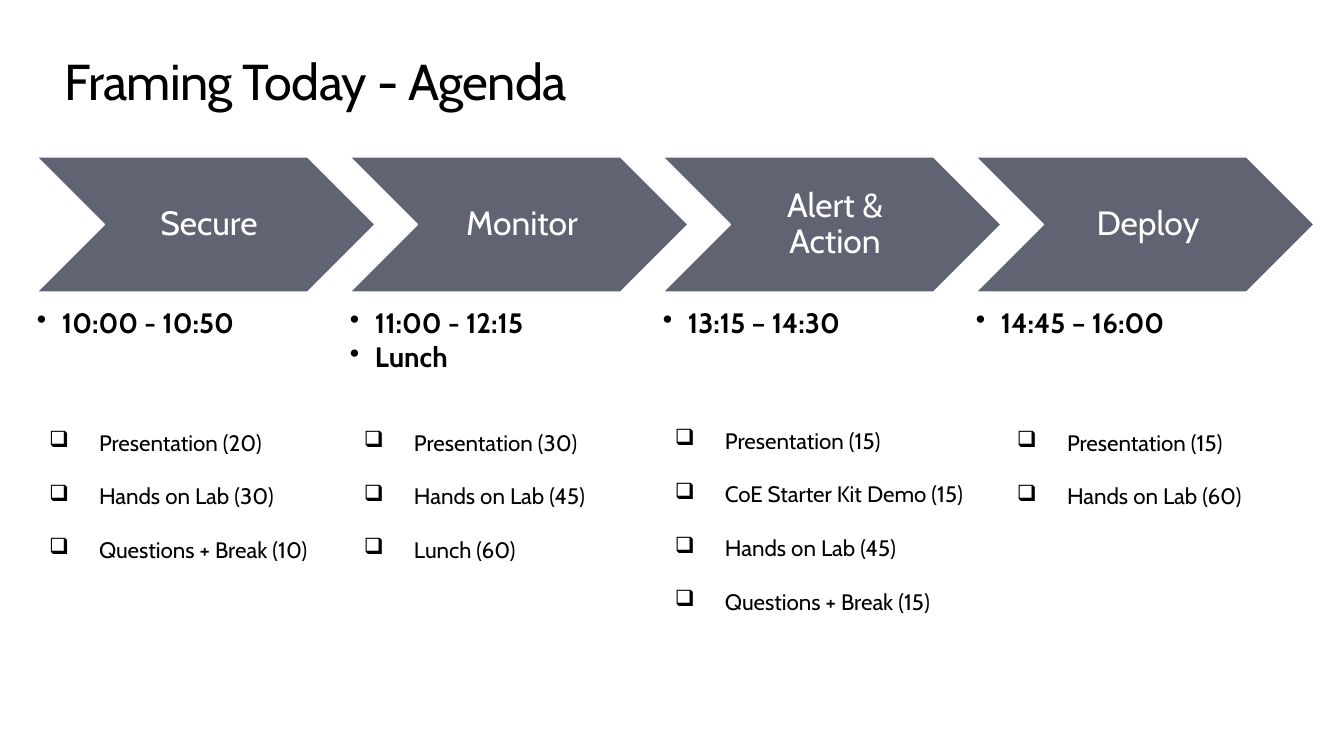
"""Build the agenda slide: four session chevrons with times and checklists."""
from lxml import etree
from pptx import Presentation, util as u
from pptx.dml.color import RGBColor
from pptx.enum import shapes, text
from pptx.oxml.ns import qn

TITLE = "Framing Today - Agenda"
SESSIONS = [
    {"name": "Secure", "times": ["10:00 - 10:50"], "list_at": (49, 402, 291),
     "tasks": ["Presentation (20)", "Hands on Lab (30)", "Questions + Break (10)"]},
    {"name": "Monitor", "times": ["11:00 - 12:15", "Lunch"], "list_at": (364, 402, 303),
     "tasks": ["Presentation (30)", "Hands on Lab (45)", "Lunch (60)"]},
    {"name": "Alert & Action", "times": ["13:15 – 14:30"], "list_at": (675, 400, 303),
     "tasks": ["Presentation (15)", "CoE Starter Kit Demo (15)", "Hands on Lab (45)",
               "Questions + Break (15)"]},
    {"name": "Deploy", "times": ["14:45 – 16:00"], "list_at": (1017, 402, 291),
     "tasks": ["Presentation (15)", "Hands on Lab (60)"]},
]

FONT = "Cabin"
BLACK = RGBColor(0x00, 0x00, 0x00)
WHITE = RGBColor(0xFF, 0xFF, 0xFF)
SLATE = RGBColor(0x60, 0x63, 0x72)

SLIDE_WIDTH, SLIDE_HEIGHT = 1344, 756
FIRST_LEFT, PITCH = 37, 313
CHEVRON_TOP, CHEVRON_WIDTH, CHEVRON_HEIGHT = 157, 338, 135
TIMES_TOP, TIMES_WIDTH, TIMES_HEIGHT = 309, 270, 82
TIMES_INDENT, TASK_INDENT = 25, 50
TASK_HEIGHT = 54


def px(length):
    return u.Emu(round(length * 914400 / 100.8))


def set_margins(frame, left=0, other=0):
    frame.margin_left = px(left)
    frame.margin_top = frame.margin_right = frame.margin_bottom = px(other)
    frame.word_wrap = True


def style(paragraph, size, color=BLACK, bold=False):
    font = paragraph.font
    font.name, font.size, font.bold = FONT, u.Pt(size), bold
    font.color.rgb = color


def add_lines(slide, box, lines, size, spacing, after=0, bold=False, bullet=None, indent=0):
    frame = slide.shapes.add_textbox(*map(px, box)).text_frame
    set_margins(frame)
    frame.text = "\n".join(lines)
    for paragraph in frame.paragraphs:
        paragraph.line_spacing = spacing
        paragraph.space_after = u.Pt(after)
        if bullet:
            properties = paragraph._p.get_or_add_pPr()
            properties.set("marL", str(px(indent)))
            properties.set("indent", str(-px(indent)))
            etree.SubElement(properties, qn("a:buChar")).set("char", bullet)
        style(paragraph, size, bold=bold)
    return frame


def add_chevron(slide, left, name):
    chevron = slide.shapes.add_shape(
        shapes.MSO_SHAPE.CHEVRON,
        *map(px, (left, CHEVRON_TOP, CHEVRON_WIDTH, CHEVRON_HEIGHT)))
    chevron.shadow.inherit = False
    chevron.fill.solid()
    chevron.fill.fore_color.rgb = SLATE
    chevron.line.color.rgb = WHITE
    chevron.line.width = u.Pt(0.85)
    frame = chevron.text_frame
    set_margins(frame, left=10, other=4)
    frame.vertical_anchor = text.MSO_ANCHOR.MIDDLE
    frame.text = name
    paragraph = frame.paragraphs[0]
    paragraph.alignment = text.PP_ALIGN.CENTER
    paragraph.line_spacing = 0.9
    style(paragraph, 24, WHITE)


def main():
    presentation = Presentation()
    presentation.slide_width, presentation.slide_height = px(SLIDE_WIDTH), px(SLIDE_HEIGHT)
    slide = presentation.slides.add_slide(presentation.slide_layouts[6])

    title = add_lines(slide, (65, 50, 1215, 61), [TITLE], 36, 1.0)
    title.paragraphs[0].runs[0]._r.get_or_add_rPr().set("spc", "-50")

    for index, session in enumerate(SESSIONS):
        left = FIRST_LEFT + index * PITCH
        add_chevron(slide, left, session["name"])
        add_lines(slide, (left, TIMES_TOP, TIMES_WIDTH, TIMES_HEIGHT), session["times"],
                  20, 0.9, after=3, bold=True, bullet="•", indent=TIMES_INDENT)
        tasks = session["tasks"]
        add_lines(slide, (*session["list_at"], len(tasks) * TASK_HEIGHT), tasks,
                  16, 2.0, bullet="❑", indent=TASK_INDENT)

    presentation.save("out.pptx")


if __name__ == "__main__":
    main()
